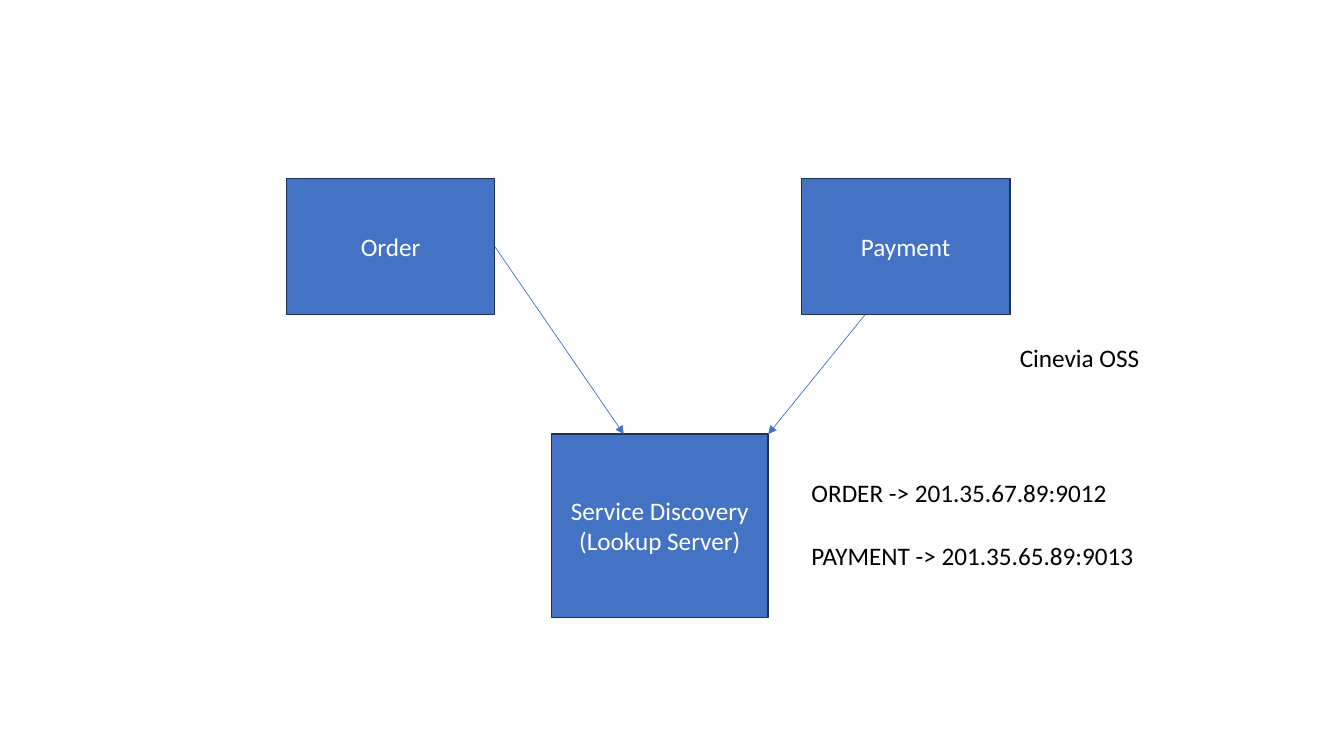
from dataclasses import dataclass
from typing import Any

from lxml.etree import SubElement
from pptx import Presentation
from pptx.dml.color import RGBColor
from pptx.enum.shapes import MSO_CONNECTOR, MSO_SHAPE
from pptx.enum.text import MSO_ANCHOR, MSO_AUTO_SIZE, PP_ALIGN
from pptx.oxml.ns import qn
from pptx.slide import Slide
from pptx.text.text import TextFrame
from pptx.util import Cm, Pt

BLUE = RGBColor(0x44, 0x72, 0xC4)
NAVY = RGBColor(0x1E, 0x32, 0x56)
WHITE = RGBColor(0xFF, 0xFF, 0xFF)
BLACK = RGBColor(0x00, 0x00, 0x00)

FONT_FORMAT = {"name": "Calibri", "size": Pt(18)}
SERVICE_FRAME = {"word_wrap": True, "vertical_anchor": MSO_ANCHOR.MIDDLE}
LABEL_FRAME = {"word_wrap": True, "auto_size": MSO_AUTO_SIZE.SHAPE_TO_FIT_TEXT}


@dataclass(frozen=True)
class Block:
    """A piece of text and its place in centimetres."""

    lines: tuple[str, ...]
    left: float
    top: float
    width: float
    height: float

    @property
    def right(self) -> float:
        return self.left + self.width

    @property
    def bottom(self) -> float:
        return self.top + self.height


@dataclass(frozen=True)
class Arrow:
    start: tuple[float, float]
    end: tuple[float, float]


ORDER = Block(("Order",), 7.22, 4.5, 5.25, 3.43)
PAYMENT = Block(("Payment",), 20.2, ORDER.top, ORDER.width, ORDER.height)
DISCOVERY = Block(("Service Discovery", "(Lookup Server)"), 13.9, 10.94, 5.46, 4.62)
SERVICES = (ORDER, PAYMENT, DISCOVERY)

ARROWS = (
    Arrow((ORDER.right, ORDER.top + ORDER.height / 2),
          (DISCOVERY.left + DISCOVERY.width / 3, DISCOVERY.top)),
    Arrow((PAYMENT.left + 1.6, PAYMENT.bottom), (DISCOVERY.right, DISCOVERY.top)),
)

LABELS = (
    Block(("Cinevia OSS",), 25.45, 8.5, 8.4, 1.03),
    Block(("ORDER -> 201.35.67.89:9012",), PAYMENT.left, 11.9, 9.63, 1.03),
    Block(("PAYMENT -> 201.35.65.89:9013",), PAYMENT.left, 13.5, 9.63, 1.03),
)


def apply_format(target: Any, values: dict[str, Any]) -> None:
    for name, value in values.items():
        setattr(target, name, value)


def write_lines(frame: TextFrame, lines: tuple[str, ...], color: RGBColor,
                alignment: PP_ALIGN) -> None:
    for index, line in enumerate(lines):
        para = frame.add_paragraph() if index else frame.paragraphs[0]
        para.alignment = alignment
        span = para.add_run()
        span.text = line
        apply_format(span.font, FONT_FORMAT)
        span.font.color.rgb = color


def draw_service(page: Slide, block: Block) -> None:
    box = page.shapes.add_shape(MSO_SHAPE.RECTANGLE, Cm(block.left), Cm(block.top),
                                Cm(block.width), Cm(block.height))
    box.shadow.inherit = False
    box.fill.solid()
    box.fill.fore_color.rgb = BLUE
    box.line.color.rgb = NAVY
    box.line.width = Pt(1)
    apply_format(box.text_frame, SERVICE_FRAME)
    write_lines(box.text_frame, block.lines, WHITE, PP_ALIGN.CENTER)


def draw_label(page: Slide, block: Block) -> None:
    box = page.shapes.add_textbox(Cm(block.left), Cm(block.top),
                                  Cm(block.width), Cm(block.height))
    apply_format(box.text_frame, LABEL_FRAME)
    write_lines(box.text_frame, block.lines, BLACK, PP_ALIGN.LEFT)


def draw_arrow(page: Slide, arrow: Arrow) -> None:
    points = (Cm(length) for length in arrow.start + arrow.end)
    connector = page.shapes.add_connector(MSO_CONNECTOR.STRAIGHT, *points)
    connector.line.color.rgb = BLUE
    connector.line.width = Pt(0.5)
    properties = connector._element.spPr
    SubElement(properties.find(qn("a:ln")), qn("a:tailEnd"), type="triangle")
    SubElement(properties, qn("a:effectLst"))


def main() -> None:
    deck = Presentation()
    apply_format(deck, {"slide_width": Cm(33.87), "slide_height": Cm(19.05)})
    page = deck.slides.add_slide(deck.slide_layouts[6])
    for service in SERVICES:
        draw_service(page, service)
    for arrow in ARROWS:
        draw_arrow(page, arrow)
    for label in LABELS:
        draw_label(page, label)
    deck.save("out.pptx")


if __name__ == "__main__":
    main()
